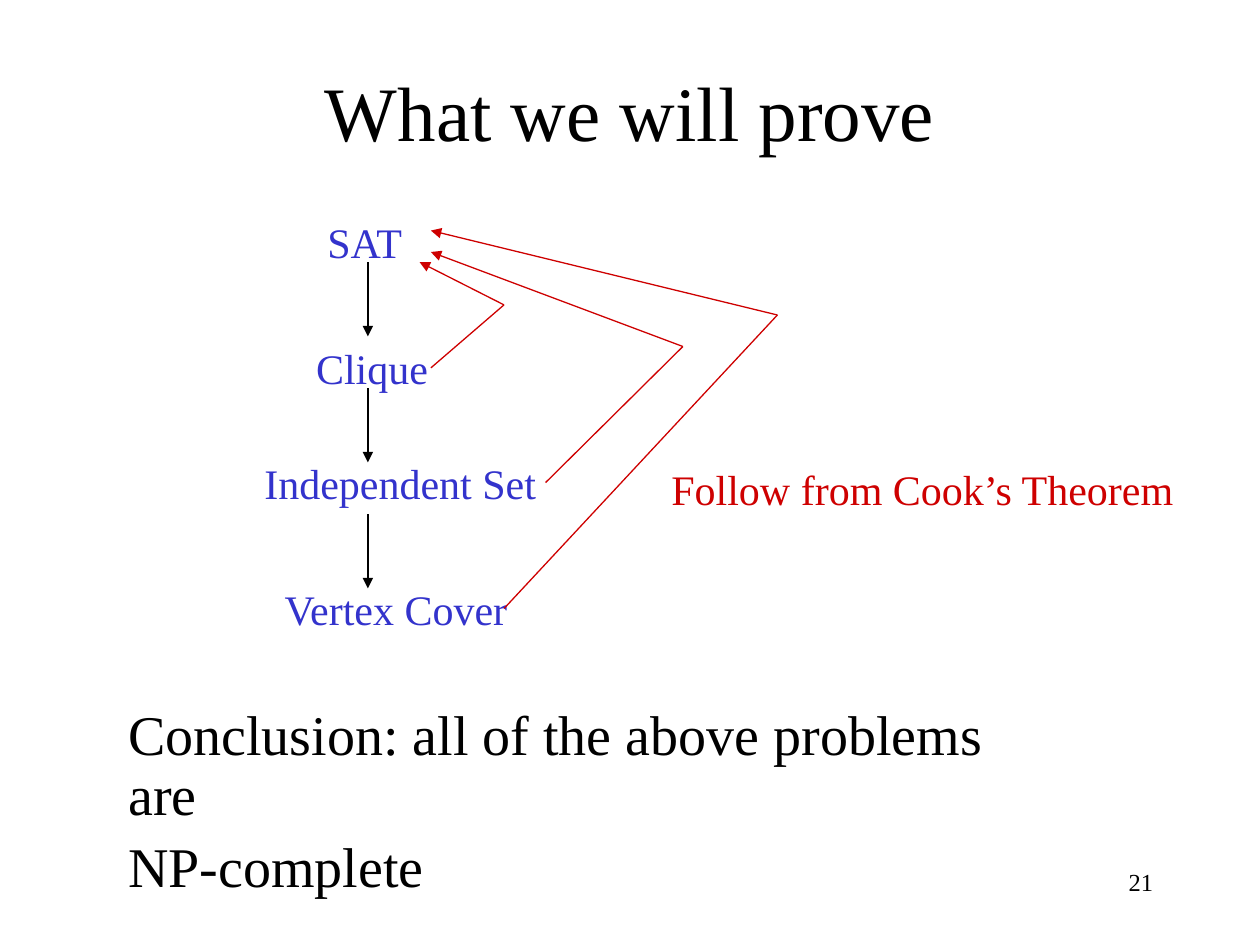
from lxml.etree import SubElement
from pptx import Presentation
from pptx.dml.color import RGBColor
from pptx.enum.shapes import MSO_CONNECTOR
from pptx.enum.text import MSO_ANCHOR, PP_ALIGN
from pptx.oxml.ns import qn
from pptx.util import Inches, Pt

FONT = "Times New Roman"
BLACK, BLUE, RED = "000000", "3333CC", "CE0000"


def color(hex_string):
    return RGBColor.from_string(hex_string)


def add_text(slide, box, lines, size, hex_string=BLACK, align=PP_ALIGN.LEFT,
             anchor=MSO_ANCHOR.TOP, wrap=True, line_spacing=None, gap=0):
    frame = slide.shapes.add_textbox(*map(Inches, box)).text_frame
    frame.word_wrap = wrap
    frame.vertical_anchor = anchor
    frame.text = "\n".join(lines)
    for index, paragraph in enumerate(frame.paragraphs):
        paragraph.alignment = align
        paragraph.line_spacing = line_spacing
        paragraph.space_before = Pt(gap if index else 0)
        paragraph.font.name = FONT
        paragraph.font.size = Pt(size)
        paragraph.font.color.rgb = color(hex_string)


def add_line(slide, start, end, hex_string, arrow=True):
    line = slide.shapes.add_connector(
        MSO_CONNECTOR.STRAIGHT, *map(Inches, (*start, *end)))
    line.line.color.rgb = color(hex_string)
    line.line.width = Pt(0.75)
    if arrow:
        SubElement(line.line._get_or_add_ln(), qn("a:tailEnd"), type="triangle")
    SubElement(line._element.spPr, qn("a:effectLst"))


def add_return_path(slide, start, bend, end):
    add_line(slide, start, bend, RED, arrow=False)
    add_line(slide, bend, end, RED)


def main():
    presentation = Presentation()
    presentation.slide_width, presentation.slide_height = Inches(10), Inches(7.5)
    slide = presentation.slides.add_slide(presentation.slide_layouts[6])

    # Title and slide number
    add_text(slide, (0.75, 0.25, 8.5, 1.25), ["What we will prove"], 44,
             align=PP_ALIGN.CENTER, anchor=MSO_ANCHOR.MIDDLE)
    add_text(slide, (7.17, 6.83, 2.08, 0.5), ["21"], 14, align=PP_ALIGN.RIGHT)

    # Chain of problems
    problems = [
        ("SAT", 2.5, 1.67, 0.83),
        ("Clique", 2.41, 2.67, 1.09),
        ("Independent Set", 2, 3.58, 2.36),
        ("Vertex Cover", 2.16, 4.58, 2.01),
    ]
    for name, left, top, width in problems:
        add_text(slide, (left, top, width, 0.5), [name], 24, BLUE, wrap=False)

    # Reductions down the chain
    for top in (2.08, 3.08, 4.08):
        add_line(slide, (2.92, top), (2.92, top + 0.59), BLACK)

    # Reductions back to SAT
    return_paths = [
        ((3.42, 2.92), (4, 2.42), (3.33, 2.08)),
        ((4, 4.83), (6.17, 2.5), (3.42, 1.83)),
        ((4.33, 3.83), (5.42, 2.75), (3.42, 2)),
    ]
    for start, bend, end in return_paths:
        add_return_path(slide, start, bend, end)
    add_text(slide, (5.23, 3.63, 4.21, 0.5), ["Follow from Cook’s Theorem"],
             24, RED, wrap=False)

    # Conclusion
    add_text(slide, (0.92, 5.56, 7.3, 1.16),
             ["Conclusion: all of the above problems are", "NP-complete"], 32,
             line_spacing=0.9, gap=6.4)

    presentation.save("out.pptx")


if __name__ == "__main__":
    main()
